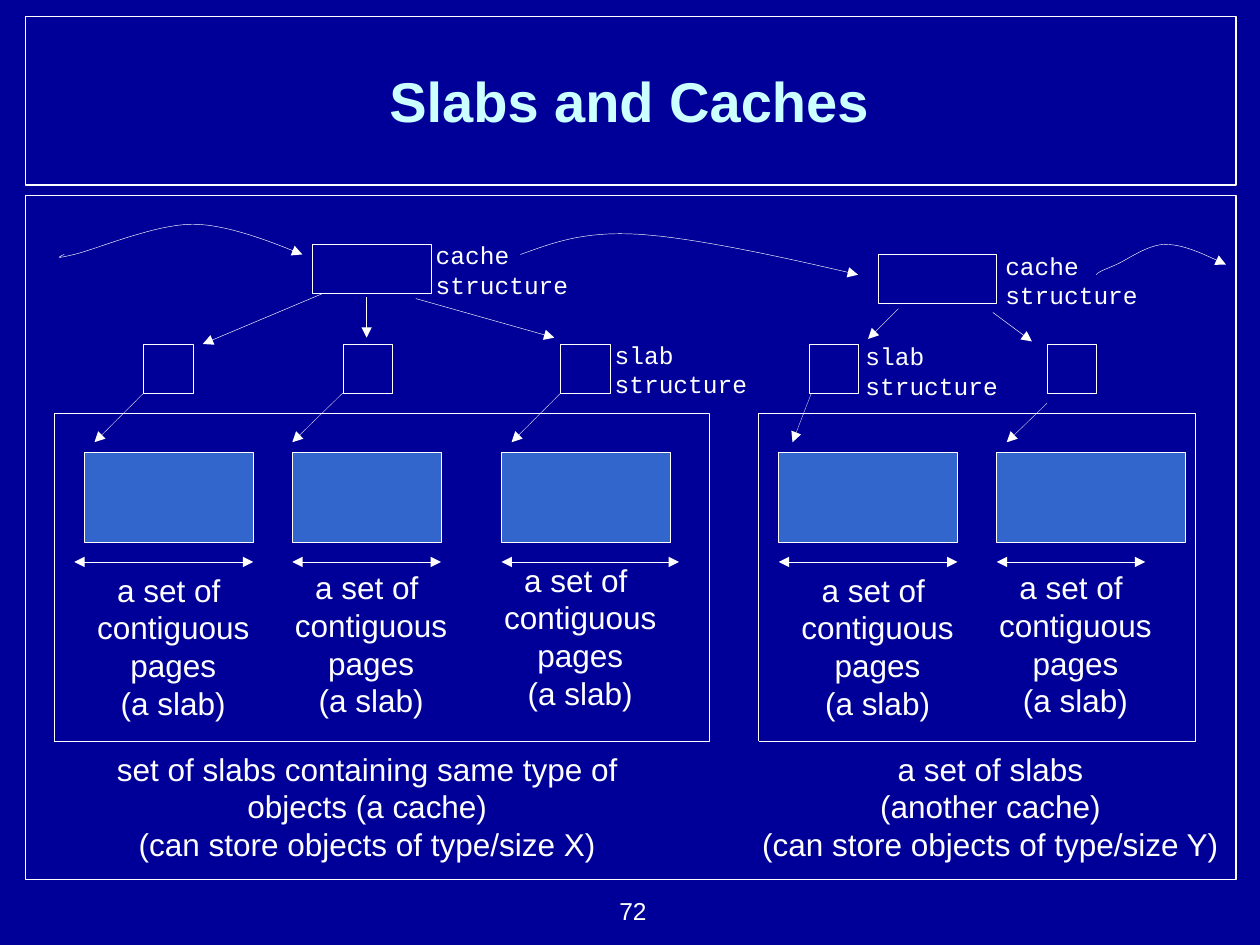
from typing import NamedTuple

from lxml import etree
from pptx import Presentation
from pptx.dml.color import RGBColor
from pptx.enum.dml import MSO_LINE
from pptx.enum.shapes import MSO_CONNECTOR, MSO_SHAPE
from pptx.enum.text import MSO_ANCHOR, PP_ALIGN
from pptx.oxml.ns import qn
from pptx.util import Inches, Pt

RECT = MSO_SHAPE.RECTANGLE
LINE = MSO_CONNECTOR.STRAIGHT
DASH = MSO_LINE.ROUND_DOT
LEFT, MID, RIGHT = PP_ALIGN.LEFT, PP_ALIGN.CENTER, PP_ALIGN.RIGHT
COLORS = {"back": "000099", "line": "FFFFFF", "text": "FFFFFF",
          "title": "CCFFFF", "slab": "3366CC"}
STEPS = 16


class Box(NamedTuple):
    x: float
    y: float
    w: float
    h: float
    fill: str = ""
    width: float = 0.25
    dash: bool = False


class Arrow(NamedTuple):
    x1: float
    y1: float
    x2: float
    y2: float
    dash: bool = False
    both: bool = False


class Label(NamedTuple):
    x: float
    y: float
    w: float
    h: float
    text: str
    size: int = 18
    font: str = "Arial"
    align: PP_ALIGN = MID
    wrap: bool = False


class Slab(NamedTuple):
    x: float
    w: float
    span: tuple[float, float]
    label: tuple[float, float]
    cell: float
    link: tuple[float, float, float]


FRAMES = [Box(0.2, 0.13, 9.61, 1.34, width=0.75),
          Box(0.2, 1.55, 9.61, 5.43, width=0.75)]
GROUPS = [Box(0.43, 3.28, 5.2, 2.6, dash=True),
          Box(6.02, 3.28, 3.47, 2.6, dash=True)]
CACHES = [Box(2.48, 1.94, 0.94, 0.39), Box(6.97, 2.02, 0.94, 0.39)]
SLABS = [
    Slab(0.67, 1.34, (0.59, 2.01), (0.67, 4.48), 1.14, (1.14, 3.12, 0.75)),
    Slab(2.32, 1.18, (2.32, 3.5), (2.24, 4.46), 2.72, (2.72, 3.12, 2.32)),
    Slab(3.98, 1.34, (3.98, 5.39), (3.9, 4.4), 4.45, (4.45, 3.12, 4.06)),
    Slab(6.18, 1.42, (6.18, 7.6), (6.26, 4.48), 6.42, (6.44, 3.12, 6.29)),
    Slab(7.91, 1.5, (7.91, 9.09), (7.83, 4.46), 8.31, (8.31, 3.2, 7.99)),
]
LINKS = [Arrow(2.56, 2.33, 1.61, 2.73), Arrow(2.91, 2.36, 2.91, 2.68),
         Arrow(3.3, 2.37, 4.4, 2.68), Arrow(7.13, 2.45, 6.89, 2.69),
         Arrow(7.88, 2.48, 8.19, 2.71)]
CURVES = [
    [(4.13, 2.02), (4.38, 1.93), (4.63, 1.83), (5.08, 1.86),
     (5.52, 1.89), (6.17, 2.03), (6.81, 2.18)],
    [(0.51, 2.02), (0.47, 2.04), (0.42, 2.06), (0.59, 2.02), (0.76, 1.98),
     (1.23, 1.78), (1.53, 1.78), (1.84, 1.78), (2.27, 1.97), (2.4, 2.02)],
    [(8.7, 2.18), (8.73, 2.15), (8.77, 2.14), (8.86, 2.1), (8.95, 2.06),
     (9.11, 1.94), (9.25, 1.94), (9.4, 1.94), (9.56, 2.02), (9.73, 2.1)],
]
NOTES = [(3.36, 1.86, "cache"), (7.88, 1.94, "cache"),
         (4.78, 2.65, "slab"), (6.77, 2.66, "slab")]
LABELS = [
    Label(0.73, 5.9, 4.37, 1, "set of slabs containing same type of\vobjects "
          "(a cache)\n(can store objects of type/size X)"),
    Label(5.9, 5.9, 3.92, 1, "a set of slabs\v(another cache)\n"
          "(can store objects of type/size Y)"),
    Label(4.19, 7.06, 1.04, 0.34, "72", 14, align=RIGHT, wrap=True),
]
PAGES = "a set of \ncontiguous\vpages\n(a slab)"


def tint(name: str) -> RGBColor:
    return RGBColor.from_string(COLORS[name])


def write(frame, text: str, *, size: int, font: str = "Arial",
          color: str = "text", bold: bool = False,
          align: PP_ALIGN = MID, wrap: bool = True) -> None:
    frame.word_wrap = wrap
    frame.text = text
    for para in frame.paragraphs:
        para.alignment = align
        para.font.size = Pt(size)
        para.font.name = font
        para.font.bold = bold
        para.font.color.rgb = tint(color)


def stroke(shape, width: float = 0.25, dash: bool = False,
           ends: tuple[str, ...] = ()) -> None:
    line = shape.line
    line.color.rgb = tint("line")
    line.width = Pt(width)
    if dash:
        line.dash_style = DASH
    edge = shape._element.spPr.find(qn("a:ln"))
    for end in ends:
        etree.SubElement(edge, qn(f"a:{end}"), type="triangle")


def draw_box(slide, box: Box) -> None:
    shape = slide.shapes.add_shape(RECT, *map(Inches, box[:4]))
    shape.shadow.inherit = False
    if box.fill:
        shape.fill.solid()
        shape.fill.fore_color.rgb = tint(box.fill)
    else:
        shape.fill.background()
    stroke(shape, box.width, box.dash)


def draw_arrow(slide, arrow: Arrow) -> None:
    shape = slide.shapes.add_connector(LINE, *map(Inches, arrow[:4]))
    ends = ("headEnd", "tailEnd") if arrow.both else ("tailEnd",)
    stroke(shape, dash=arrow.dash, ends=ends)
    etree.SubElement(shape._element.spPr, qn("a:effectLst"))


def bend(a: float, b: float, c: float, d: float, t: float) -> float:
    s = 1 - t
    return s**3 * a + 3 * s * s * t * b + 3 * s * t * t * c + t**3 * d


def draw_curve(slide, knots: list[tuple[float, float]]) -> None:
    dots = []
    for i in range(0, len(knots) - 1, 3):
        xs, ys = zip(*knots[i:i + 4])
        for n in range(1, STEPS + 1):
            t = n / STEPS
            dots.append((Inches(bend(*xs, t)), Inches(bend(*ys, t))))
    build = slide.shapes.build_freeform(*map(Inches, knots[0]))
    build.add_line_segments(dots, close=False)
    shape = build.convert_to_shape()
    shape.shadow.inherit = False
    shape.fill.background()
    stroke(shape, ends=("tailEnd",))


def draw_label(slide, label: Label) -> None:
    box = slide.shapes.add_textbox(*map(Inches, label[:4]))
    write(box.text_frame, label.text, size=label.size, font=label.font,
          align=label.align, wrap=label.wrap)


def draw_slab(slide, slab: Slab) -> None:
    draw_box(slide, Box(slab.x, 3.59, slab.w, 0.71, "slab"))
    draw_box(slide, Box(slab.cell, 2.73, 0.39, 0.39))
    start, end = slab.span
    draw_arrow(slide, Arrow(start, 4.46, end, 4.46, both=True))
    x, y, tip = slab.link
    draw_arrow(slide, Arrow(x, y, tip, 3.51, dash=True))
    draw_label(slide, Label(*slab.label, 1.41, 1.3, PAGES))


def main() -> None:
    deck = Presentation()
    deck.slide_width, deck.slide_height = Inches(10), Inches(7.5)
    slide = deck.slides.add_slide(deck.slide_layouts[5])
    slide.background.fill.solid()
    slide.background.fill.fore_color.rgb = tint("back")
    title = slide.shapes.title
    title.left, title.top = Inches(0.35), Inches(0.17)
    title.width, title.height = Inches(9.29), Inches(1.25)
    title.text_frame.vertical_anchor = MSO_ANCHOR.MIDDLE
    write(title.text_frame, "Slabs and Caches", size=32, color="title", bold=True)
    for box in FRAMES + GROUPS + CACHES:
        draw_box(slide, box)
    for slab in SLABS:
        draw_slab(slide, slab)
    for link in LINKS:
        draw_arrow(slide, link)
    for curve in CURVES:
        draw_curve(slide, curve)
    notes = [Label(x, y, 1.25, 0.57, f"{kind}\nstructure", 14, "Courier New", LEFT)
             for x, y, kind in NOTES]
    for label in LABELS + notes:
        draw_label(slide, label)
    deck.save("out.pptx")


if __name__ == "__main__":
    main()
